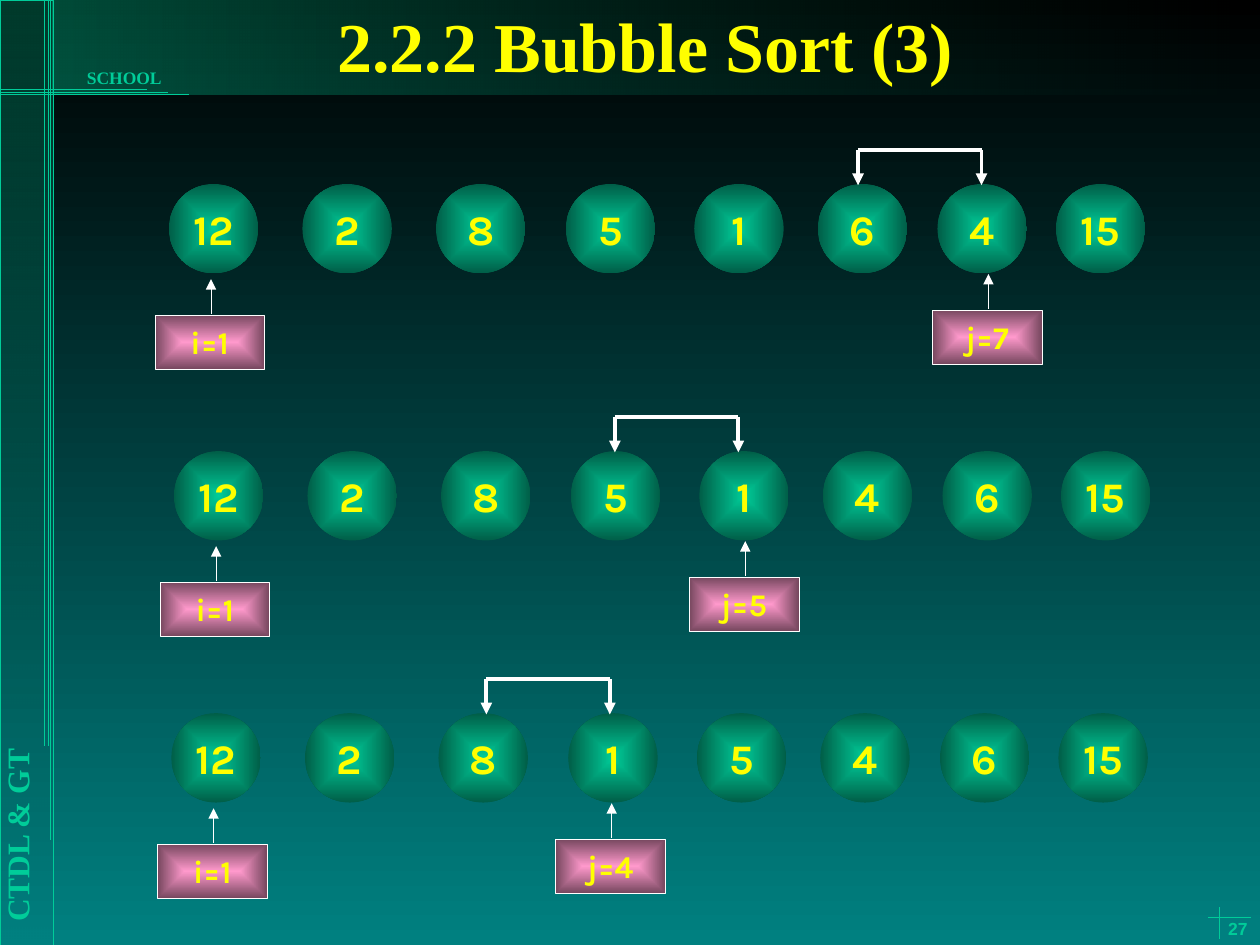
from pptx import Presentation
from pptx.dml.color import RGBColor
from pptx.enum.shapes import MSO_CONNECTOR as Connector, MSO_SHAPE as Shape
from pptx.enum.text import MSO_ANCHOR as Anchor, PP_ALIGN as Align
from pptx.oxml import parse_xml
from pptx.oxml.ns import nsdecls, qn
from pptx.oxml.xmlchemy import OxmlElement
from pptx.util import Inches, Pt

# The slide is a grid of 100 columns by 75 rows of square cells.
CELL = Inches(0.1)
COLUMNS, ROWS = 100, 75

COLORS = {
    "black": "000000", "teal": "008080", "green": "00CC99",
    "dark green": "005E47", "pink": "FF99CC", "plum": "76475E",
    "yellow": "FFFF00", "white": "FFFFFF",
}
CENTRE = '<a:path path="rect"><a:fillToRect l="50000" t="50000" r="50000" b="50000"/></a:path>'

BALL = 7.1
BALL_OFFSETS = [0, 10.6, 21.2, 31.5, 41.7, 51.5, 61, 70.4]
MARKER_SIZE = (8.7, 4.3)
SWAP_WIDTH = 9.8

# left, top, values, offset of the swap bracket, j, offset of the j marker
STEPS = [
    (13.4, 14.6, [12, 2, 8, 5, 1, 6, 4, 15], 54.7, 7, 60.6),
    (13.8, 35.8, [12, 2, 8, 5, 1, 4, 6, 15], 35, 5, 40.9),
    (13.6, 56.6, [12, 2, 8, 1, 5, 4, 6, 15], 25, 4, 30.5),
]

# x1, y1, x2, y2
FRAME_LINES = [
    (3.8, 0, 3.8, 59.2), (0, 7.1, 11.7, 7.1), (4, 0, 4, 66.7),
    (3.5, 0, 3.5, 59.2), (95.9, 72.8, 99.3, 72.8), (96.8, 72, 96.8, 74.5),
    (0, 7.5, 15, 7.5), (0, 7.3, 13.3, 7.3),
]


def cells(*counts):
    return [round(count * CELL) for count in counts]


def color(name):
    return RGBColor.from_string(COLORS[name])


def fill_gradient(shape, start, end, angle=None, opacity=(100, 100)):
    """Shade linearly at an angle, or outward from the centre without one."""
    stops = "".join(
        f'<a:gs pos="{position}"><a:srgbClr val="{COLORS[name]}">'
        f'<a:alpha val="{percent * 1000}"/></a:srgbClr></a:gs>'
        for position, name, percent in zip((0, 100000), (start, end), opacity))
    direction = CENTRE if angle is None else f'<a:lin ang="{angle * 60000}" scaled="0"/>'
    gradient = parse_xml(
        f'<a:gradFill {nsdecls("a")} rotWithShape="1">'
        f'<a:gsLst>{stops}</a:gsLst>{direction}</a:gradFill>')
    shape.fill.background()
    properties = shape._element.spPr
    properties.replace(properties.find(qn("a:noFill")), gradient)


def add_panel(slide, kind, box, start, end, angle=None, opacity=(100, 100), outline=None):
    shape = slide.shapes.add_shape(kind, *cells(*box))
    shape.shadow.inherit = False
    fill_gradient(shape, start, end, angle, opacity)
    if outline:
        shape.line.color.rgb = color(outline)
        shape.line.width = Pt(0.25)
    else:
        shape.line.fill.background()
    return shape


def write(shape, text, font, size, ink, align=Align.CENTER, anchor=Anchor.MIDDLE,
          wrap=False, space_before=0):
    frame = shape.text_frame
    frame.word_wrap = wrap
    frame.vertical_anchor = anchor
    paragraph = frame.paragraphs[0]
    paragraph.text = text
    paragraph.alignment = align
    paragraph.space_before = Pt(space_before)
    paragraph.font.name = font
    paragraph.font.size = Pt(size)
    paragraph.font.bold = True
    paragraph.font.color.rgb = color(ink)


def add_label(slide, box, *text_style, rotation=0, **layout):
    label = slide.shapes.add_textbox(*cells(*box))
    label.rotation = rotation
    write(label, *text_style, wrap=True, **layout)


def add_line(slide, points, ink="white", width=0.25, arrow=False):
    line = slide.shapes.add_connector(Connector.STRAIGHT, *cells(*points))
    line.line.color.rgb = color(ink)
    line.line.width = Pt(width)
    if arrow:
        head = OxmlElement("a:tailEnd")
        head.set("type", "triangle")
        line.line._get_or_add_ln().append(head)
    line._element.spPr.append(OxmlElement("a:effectLst"))


def add_marker(slide, left, top, text):
    """Index box with an arrow up to its ball."""
    box = add_panel(slide, Shape.RECTANGLE, (left, top, *MARKER_SIZE),
                    "pink", "plum", outline="white")
    write(box, text, "Karla", 18, "yellow")
    middle = left + 4.45
    add_line(slide, (middle, top - 0.1, middle, top - 2.85), arrow=True)


def add_swap(slide, left, top):
    """Bracket whose two arrows point at the balls that change places."""
    right, bottom = left + SWAP_WIDTH, top + 2.8
    add_line(slide, (left, top, right, top), width=2.25)
    for x in (left, right):
        add_line(slide, (x, top, x, bottom), width=2.25, arrow=True)


def add_step(slide, left, top, values, swap_offset, j, j_offset):
    for offset, value in zip(BALL_OFFSETS, values):
        ball = add_panel(slide, Shape.OVAL, (left + offset, top, BALL, BALL),
                         "green", "dark green")
        write(ball, str(value), "Karla", 24, "yellow")
    add_marker(slide, left - 1.1, top + 10.4, "i=1")
    add_marker(slide, left + j_offset, top + 10, f"j={j}")
    add_swap(slide, left + swap_offset, top - 2.7)


def add_frame(slide):
    """Background, side and top bands, hairlines and their labels."""
    add_panel(slide, Shape.RECTANGLE, (0, 0, COLUMNS, ROWS), "black", "teal", 90)
    add_panel(slide, Shape.RECTANGLE, (0, 0, 4.2, ROWS), "green", "dark green", 90,
              (29, 0), "green")
    add_panel(slide, Shape.RECTANGLE, (4.2, 0, 95.8, 7.5), "green", "dark green", 0,
              (37, 0))
    for points in FRAME_LINES:
        add_line(slide, points, "green")
    serif = "Times New Roman"
    add_label(slide, (-19.5, 51.3, 41.7, 4), "CTDL & GT", serif, 18, "green",
              rotation=270, align=Align.LEFT, anchor=Anchor.TOP, space_before=11.2)
    add_label(slide, (1.2, 4.8, 12.6, 2.7), "SCHOOL", serif, 10, "green",
              align=Align.RIGHT, anchor=Anchor.TOP, space_before=6.2)
    add_label(slide, (95, 73.3, 5, 1.7), "27", "Arial", 10, "green",
              align=Align.RIGHT, anchor=Anchor.BOTTOM)
    add_label(slide, (8.7, -0.3, 85, 7.6), "2.2.2 Bubble Sort (3)", serif, 40, "yellow")


def main():
    presentation = Presentation()
    presentation.slide_width, presentation.slide_height = cells(COLUMNS, ROWS)
    slide = presentation.slides.add_slide(presentation.slide_layouts[6])
    slide.background.fill.solid()
    slide.background.fill.fore_color.rgb = color("black")
    add_frame(slide)
    for step in STEPS:
        add_step(slide, *step)
    presentation.save("out.pptx")


if __name__ == "__main__":
    main()
